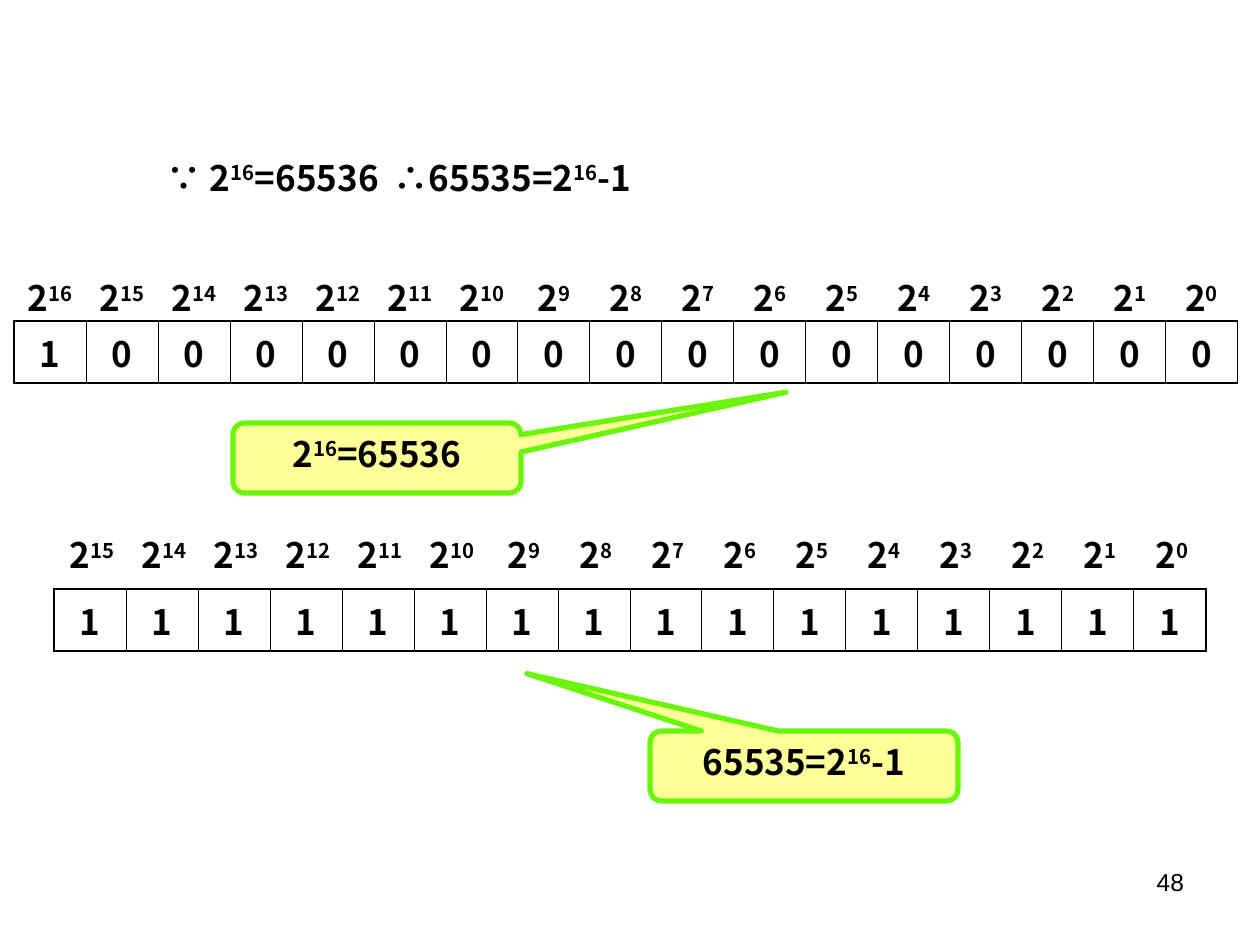
from lxml import etree
from pptx import Presentation
from pptx.dml.color import RGBColor
from pptx.enum.shapes import MSO_SHAPE
from pptx.enum.text import MSO_ANCHOR, MSO_AUTO_SIZE, PP_ALIGN
from pptx.oxml import parse_xml
from pptx.oxml.ns import nsdecls, qn
from pptx.util import Pt

SCALE = 914400 / 126
BLACK = RGBColor(0, 0, 0)
YELLOW = RGBColor(0xFF, 0xFF, 0x99)
GREEN = RGBColor(0x6B, 0xF5, 0x0D)
LEFT, CENTER, RIGHT = PP_ALIGN.LEFT, PP_ALIGN.CENTER, PP_ALIGN.RIGHT
TOP = MSO_ANCHOR.TOP
GROW = MSO_AUTO_SIZE.SHAPE_TO_FIT_TEXT
BUBBLE = MSO_SHAPE.ROUNDED_RECTANGULAR_CALLOUT
PLAIN = "{2D5ABB26-0587-4C30-8999-92F81FD0307C}"
BOLD = {"size": Pt(20), "bold": True, "name": "Noto Sans CJK SC"}
SMALL = {"size": Pt(14), "bold": False, "name": "Arial"}
PAD = 13
COL = 72
THICK, THIN = 1.08, 0.45


def px(*nums):
    return [round(num * SCALE) for num in nums]


def write(frame, text, align, style=BOLD):
    para = frame.paragraphs[0]
    para.alignment = align
    for idx, part in enumerate(text.split("^")):
        run = para.add_run()
        run.text = part
        for key, value in style.items():
            setattr(run.font, key, value)
        run.font.color.rgb = BLACK
        props = run.font._element
        etree.SubElement(props, qn("a:ea"), typeface=style["name"])
        if idx % 2:
            props.set("baseline", "30000")


def set_frame(frame):
    frame.word_wrap = True
    frame.vertical_anchor = TOP
    pads = px(PAD, PAD, 6, 6)
    for side, pad in zip(("left", "right", "top", "bottom"), pads):
        setattr(frame, f"margin_{side}", pad)


def add_text(slide, box, text, align, style=BOLD):
    frame = slide.shapes.add_textbox(*px(*box)).text_frame
    set_frame(frame)
    write(frame, text, align, style)
    return frame


def add_stop(frame, pos):
    props = frame.paragraphs[0]._p.get_or_add_pPr()
    stops = etree.SubElement(props, qn("a:tabLst"))
    etree.SubElement(stops, qn("a:tab"), pos=str(px(pos)[0]), algn="l")


def add_edges(cell, first, last):
    sides = {
        "L": THICK if first else THIN,
        "R": THICK if last else THIN,
        "T": THICK,
        "B": THICK,
    }
    props = cell._tc.get_or_add_tcPr()
    for idx, (side, width) in enumerate(sides.items()):
        props.insert(idx, parse_xml(
            f'<a:ln{side} {nsdecls("a")} w="{Pt(width)}"><a:solidFill>'
            f'<a:srgbClr val="{BLACK}"/></a:solidFill></a:ln{side}>'))


def add_row(slide, left, top, high, items, grid):
    count = len(items)
    box = px(left, top, COL * count, high)
    table = slide.shapes.add_table(1, count, *box).table
    table.first_row = table.horz_banding = False
    table._tbl.tblPr.find(qn("a:tableStyleId")).text = PLAIN
    for idx, item in enumerate(items):
        table.columns[idx].width = px(COL)[0]
        cell = table.cell(0, idx)
        cell.fill.background()
        set_frame(cell)
        write(cell.text_frame, item, CENTER)
        if grid:
            add_edges(cell, idx == 0, idx == count - 1)


def add_bubble(slide, box, tip, text):
    shape = slide.shapes.add_shape(BUBBLE, *px(*box))
    shape.shadow.inherit = False
    shape.fill.solid()
    shape.fill.fore_color.rgb = YELLOW
    shape.line.color.rgb = GREEN
    shape.line.width = Pt(3)
    for idx, value in enumerate(tip):
        shape.adjustments[idx] = value
    set_frame(shape.text_frame)
    write(shape.text_frame, text, CENTER)


def powers(count):
    return [f"2^{num}" for num in reversed(range(count))]


def main():
    deck = Presentation()
    deck.slide_width, deck.slide_height = px(1260, 945)
    slide = deck.slides.add_slide(deck.slide_layouts[6])
    proof = "∵ 2^16^=65536\t∴65535=2^16^-1"
    frame = add_text(slide, (154, 150, 893, 56), proof, LEFT)
    frame.auto_size = GROW
    add_stop(frame, 227)
    add_row(slide, 14, 321, 62, ["1"] + ["0"] * 16, True)
    add_row(slide, 54, 589, 62, ["1"] * 16, True)
    add_row(slide, 14, 265, 59, powers(17), False)
    add_row(slide, 56, 522, 59, powers(16), False)
    add_bubble(slide, (650, 731, 308, 70), (-0.9, -1.32), "65535=2^16^-1")
    add_bubble(slide, (233, 423, 288, 70), (1.42, -0.94), "2^16^=65536")
    add_text(slide, (903, 861, 294, 65), "48", RIGHT, SMALL)
    deck.save("out.pptx")


if __name__ == "__main__":
    main()
